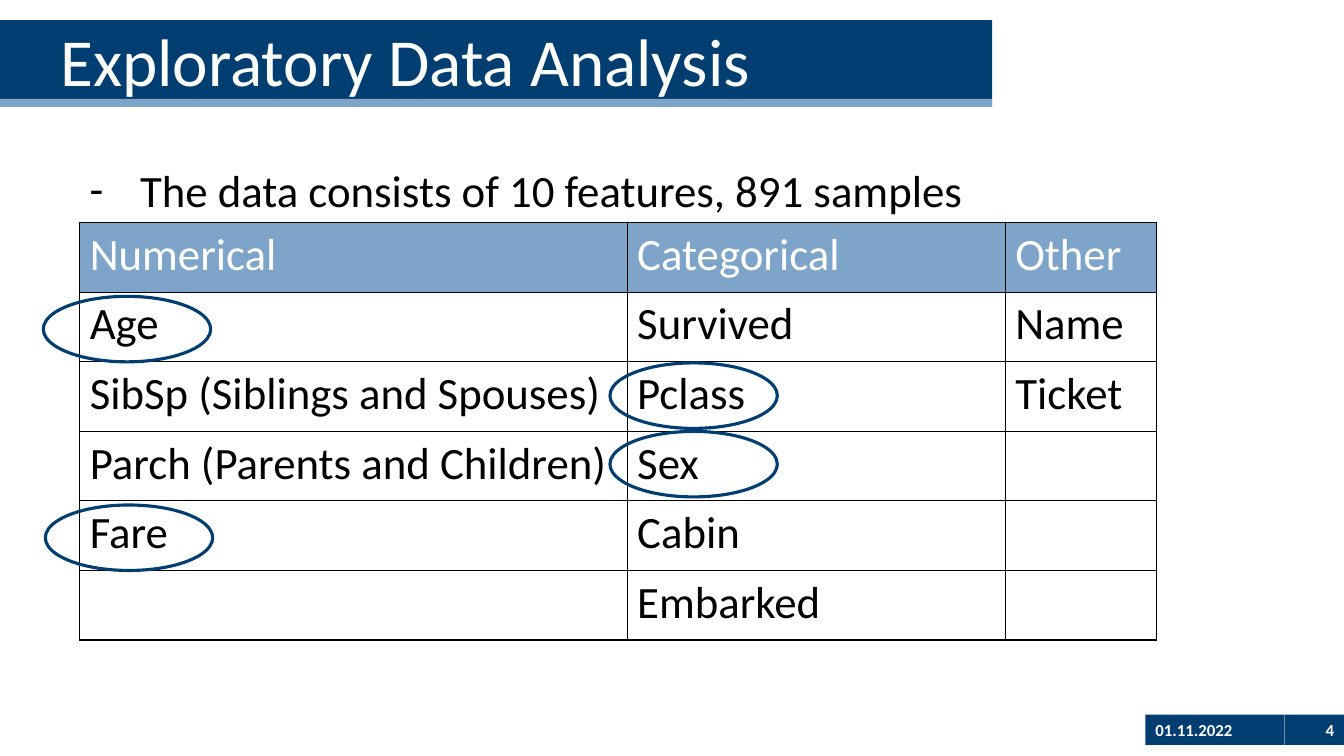
from lxml import etree
from pptx import Presentation
from pptx.dml.color import RGBColor
from pptx.enum.shapes import MSO_SHAPE
from pptx.enum.text import MSO_ANCHOR, MSO_AUTO_SIZE, PP_ALIGN
from pptx.oxml.ns import qn
from pptx.util import Emu, Pt

RECTANGLE, OVAL = MSO_SHAPE.RECTANGLE, MSO_SHAPE.OVAL
MIDDLE = MSO_ANCHOR.MIDDLE
LEFT, RIGHT = PP_ALIGN.LEFT, PP_ALIGN.RIGHT
GROW = MSO_AUTO_SIZE.SHAPE_TO_FIT_TEXT

NAVY = RGBColor(0x00, 0x3D, 0x70)
SKY = RGBColor(0x7E, 0xA4, 0xCA)
WHITE = RGBColor(0xFF, 0xFF, 0xFF)
BLACK = RGBColor(0x00, 0x00, 0x00)

FONT = "Calibri"
EMU_PER_PX = 9144
BORDER_WIDTH = Pt(1)

FEATURES = [
    ("Numerical", "Categorical", "Other"),
    ("Age", "Survived", "Name"),
    ("SibSp (Siblings and Spouses)", "Pclass", "Ticket"),
    ("Parch (Parents and Children)", "Sex", ""),
    ("Fare", "Cabin", ""),
    ("", "Embarked", ""),
]
COLUMN_WIDTHS = (543, 375, 150)
ROW_HEIGHT = 69
CIRCLE_CORNERS = [(43, 294), (45, 501), (605, 360), (605, 428)]


def px(length):
    return Emu(length * EMU_PER_PX)


def write(frame, text, size=32, color=BLACK, bold=False, align=LEFT,
          indent=0, bullet=None):
    para = frame.paragraphs[0]
    para.alignment = align
    span = para.add_run()
    span.text = text
    span.font.name = FONT
    span.font.size = Pt(size)
    span.font.bold = bold
    span.font.color.rgb = color
    properties = para._p.get_or_add_pPr()
    properties.set("marL", str(px(indent)))
    properties.set("indent", str(px(-indent if bullet else 0)))
    if bullet:
        etree.SubElement(properties, qn("a:buFont"), typeface=FONT)
        etree.SubElement(properties, qn("a:buChar"), char=bullet)


class FeatureSlide:
    """Holds the current slide and draws its elements in the deck's style."""

    def __init__(self, deck):
        self.slide = deck.slides.add_slide(deck.slide_layouts[6])

    def shape(self, kind, left, top, width, height):
        shape = self.slide.shapes.add_shape(
            kind, px(left), px(top), px(width), px(height))
        shape.shadow.inherit = False
        return shape

    def bar(self, left, top, width, height, color=NAVY, text="", **style):
        bar = self.shape(RECTANGLE, left, top, width, height)
        bar.fill.solid()
        bar.fill.fore_color.rgb = color
        bar.line.fill.background()
        if text:
            bar.text_frame.vertical_anchor = MIDDLE
            write(bar.text_frame, text, color=WHITE, **style)

    def circle(self, left, top):
        circle = self.shape(OVAL, left, top, 166, 65)
        circle.fill.background()
        circle.line.color.rgb = NAVY
        circle.line.width = Pt(2.25)

    def text(self, left, top, width, height, text, **style):
        box = self.slide.shapes.add_textbox(
            px(left), px(top), px(width), px(height))
        box.text_frame.word_wrap = True
        box.text_frame.auto_size = GROW
        write(box.text_frame, text, **style)

    def border(self, cell):
        properties = cell._tc.get_or_add_tcPr()
        for side in ("a:lnL", "a:lnR", "a:lnT", "a:lnB"):
            line = etree.SubElement(properties, qn(side), w=str(BORDER_WIDTH))
            fill = etree.SubElement(line, qn("a:solidFill"))
            etree.SubElement(fill, qn("a:srgbClr"), val=str(BLACK))

    def table(self, left, top, rows, widths, row_height):
        table = self.slide.shapes.add_table(
            len(rows), len(widths), px(left), px(top),
            px(sum(widths)), px(row_height * len(rows))).table
        table.first_row = False
        table.horz_banding = False
        for column, width in zip(table.columns, widths):
            column.width = px(width)
        for row_index, row in enumerate(rows):
            is_header = row_index == 0
            for column_index, text in enumerate(row):
                cell = table.cell(row_index, column_index)
                self.border(cell)
                if is_header:
                    cell.fill.solid()
                    cell.fill.fore_color.rgb = SKY
                else:
                    cell.fill.background()
                if text:
                    write(cell.text_frame, text,
                          color=WHITE if is_header else BLACK)


def main():
    deck = Presentation()
    deck.slide_width = px(1333)
    deck.slide_height = px(750)
    page = FeatureSlide(deck)
    page.bar(1274, 709, 59, 30, text="4", size=12, bold=True, align=RIGHT)
    page.bar(1136, 709, 138, 30, text="01.11.2022", size=12, bold=True)
    page.text(79, 157, 1102, 64, "The data consists of 10 features, 891 samples",
              indent=50, bullet="-")
    page.bar(0, 20, 984, 79, text="Exploratory Data Analysis", size=48, indent=50)
    page.bar(0, 98, 984, 8, color=SKY)
    page.table(79, 221, FEATURES, COLUMN_WIDTHS, ROW_HEIGHT)
    for left, top in CIRCLE_CORNERS:
        page.circle(left, top)
    deck.save("out.pptx")


if __name__ == "__main__":
    main()
